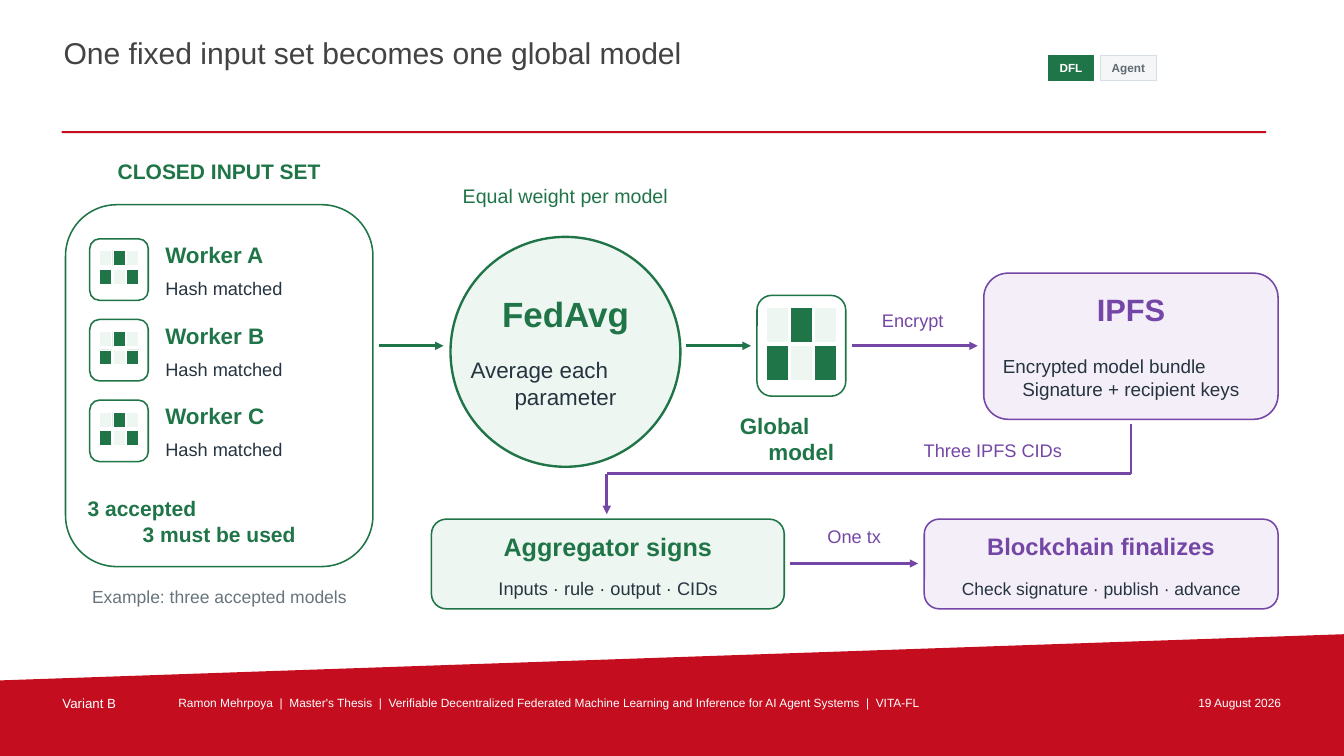
from pptx import Presentation
from pptx.dml.color import RGBColor
from pptx.enum import shapes, text
from pptx.oxml.ns import qn
from pptx.util import Pt
from lxml import etree

RED = RGBColor(0xC4, 0x0D, 0x1E)
GREEN = RGBColor(0x20, 0x75, 0x48)
PALE_GREEN = RGBColor(0xED, 0xF6, 0xF0)
PURPLE = RGBColor(0x74, 0x46, 0xA6)
PALE_PURPLE = RGBColor(0xF3, 0xEE, 0xF8)
INK = RGBColor(0x26, 0x34, 0x40)
TITLE_GRAY = RGBColor(0x43, 0x43, 0x43)
CAPTION_GRAY = RGBColor(0x67, 0x74, 0x7C)
TAG_TEXT = RGBColor(0x5D, 0x69, 0x73)
TAG_FILL = RGBColor(0xF5, 0xF6, 0xF7)
TAG_LINE = RGBColor(0xD7, 0xDE, 0xE3)
WHITE = RGBColor(0xFF, 0xFF, 0xFF)

FONT = "Arial"
LEFT, CENTER, RIGHT = text.PP_ALIGN.LEFT, text.PP_ALIGN.CENTER, text.PP_ALIGN.RIGHT
TOP, MIDDLE = text.MSO_ANCHOR.TOP, text.MSO_ANCHOR.MIDDLE
RECT, ROUND, OVAL = (shapes.MSO_SHAPE.RECTANGLE, shapes.MSO_SHAPE.ROUNDED_RECTANGLE,
                     shapes.MSO_SHAPE.OVAL)
FLOW_Y = 247


def write(tf, lines, size, color, bold=False, aligns=(CENTER,), anchor=MIDDLE, inset=0):
    """Fill a text frame, one paragraph for each line and alignment."""
    tf.word_wrap = True
    tf.vertical_anchor = anchor
    tf.margin_left = tf.margin_right = tf.margin_top = tf.margin_bottom = Pt(inset)
    for i, (line, align) in enumerate(zip(lines, aligns)):
        p = tf.paragraphs[0] if i == 0 else tf.add_paragraph()
        p.alignment = align
        r = p.add_run()
        r.text = line
        r.font.name, r.font.size, r.font.bold = FONT, Pt(size), bold
        r.font.color.rgb = color


def label(s, box, line, size, color, **options):
    tb = s.shapes.add_textbox(*map(Pt, box))
    write(tb.text_frame, [line], size, color, **options)


def stepped_label(s, box, lines, size, color, bold=False):
    """Two lines, the first at the left and the second centred."""
    tb = s.shapes.add_textbox(*map(Pt, box))
    write(tb.text_frame, lines, size, color, bold, aligns=(LEFT, CENTER))


def shape(s, kind, box, fill, line=None, width=1.1):
    sp = s.shapes.add_shape(kind, *map(Pt, box))
    sp.shadow.inherit = False
    sp.fill.solid()
    sp.fill.fore_color.rgb = fill
    if line is None:
        sp.line.fill.background()
    else:
        sp.line.color.rgb = line
        sp.line.width = Pt(width)
    return sp


def connector(s, start, end, color, width=2, arrow=True):
    c = s.shapes.add_connector(shapes.MSO_CONNECTOR.STRAIGHT, *map(Pt, start + end))
    c.line.color.rgb = color
    c.line.width = Pt(width)
    if arrow:
        etree.SubElement(c.line._get_or_add_ln(), qn("a:tailEnd"), type="triangle")
    etree.SubElement(c._element.spPr, qn("a:effectLst"))


def model_icon(s, box):
    """Framed grid of two rows and three columns in a checker pattern."""
    x, y, w, h = box
    shape(s, ROUND, box, WHITE, GREEN)
    side, top, bottom, gap_x, gap_y = 6.7, 8.6, 11.5, 1.1, 2.5
    cell_w = (w - 2 * side - 2 * gap_x) / 3
    cell_h = (h - top - bottom - gap_y) / 2
    for row in range(2):
        for col in range(3):
            cell = (x + side + col * (cell_w + gap_x),
                    y + top + row * (cell_h + gap_y), cell_w, cell_h)
            shape(s, RECT, cell, GREEN if (row + col) % 2 else PALE_GREEN, WHITE, 0.5)


def header(s, box):
    x, y, w, h = box
    label(s, (x, y, 695, 44.6), "One fixed input set becomes one global model", 21.5,
          TITLE_GRAY, aligns=(LEFT,), anchor=TOP, inset=1.44)
    shape(s, RECT, (x, y + h, w, 1.44), RED)
    tags = (("DFL", 704.8, 32.4, GREEN, GREEN, WHITE),
            ("Agent", 742.2, 39.6, TAG_FILL, TAG_LINE, TAG_TEXT))
    for name, dx, tag_w, fill, line, color in tags:
        sp = shape(s, RECT, (x + dx, y + 16.6, tag_w, 18), fill, line, 0.55)
        write(sp.text_frame, [name], 8.4, color, True)


def footer(s, box):
    x, y, w, h = box
    band = s.shapes.build_freeform(Pt(x), Pt(y + 33))
    band.add_line_segments([(Pt(x + w), Pt(y)), (Pt(x + w), Pt(y + h)), (Pt(x), Pt(y + h))])
    sp = band.convert_to_shape()
    sp.shadow.inherit = False
    sp.fill.solid()
    sp.fill.fore_color.rgb = RED
    sp.line.fill.background()
    entries = (
        (43.2, 72, "Variant B", 9.5, LEFT),
        (126, 673, "Ramon Mehrpoya  |  Master's Thesis  |  Verifiable Decentralized Federated "
                   "Machine Learning and Inference for AI Agent Systems  |  VITA-FL", 8.5, LEFT),
        (806.4, 110.2, "19 August 2026", 8.5, RIGHT),
    )
    for dx, entry_w, line, size, align in entries:
        label(s, (x + dx, y + 42.4, entry_w, 15.8), line, size, WHITE,
              aligns=(align,), anchor=TOP, inset=1.44)


def input_set(s, box):
    x, y, w, h = box
    label(s, (x, y - 34.6, w, 21.6), "CLOSED INPUT SET", 15, GREEN, bold=True)
    shape(s, ROUND, box, WHITE, GREEN)
    for i, worker in enumerate("ABC"):
        icon_x, icon_y = x + 17.3, y + 24.4 + i * 57.6
        model_icon(s, (icon_x, icon_y, 41.8, 43.9))
        label(s, (icon_x + 54, icon_y + 0.7, 118, 20.9), f"Worker {worker}", 16, GREEN,
              bold=True, aligns=(LEFT,))
        label(s, (icon_x + 54, icon_y + 26.6, 118, 17.3), "Hash matched", 13, INK,
              aligns=(LEFT,))
    stepped_label(s, (x + 15.8, y + 204.5, 187.9, 43.2),
                  ["3 accepted", "3 must be used"], 15, GREEN, True)
    label(s, (x, y + 270.7, w, 18.7), "Example: three accepted models", 12.5, CAPTION_GRAY)


def averaging(s, box):
    x, y, w, h = box
    shape(s, OVAL, box, PALE_GREEN, GREEN, 1.7)
    label(s, (x + 12.2, y + 38.2, w - 24.4, 32.4), "FedAvg", 25, GREEN, bold=True)
    stepped_label(s, (x + 14.4, y + 81.4, w - 28.8, 46.1),
                  ["Average each", "parameter"], 16, INK)
    label(s, (x - 22.3, y - 39.6, w + 44.6, 20.2), "Equal weight per model", 14, GREEN)


def global_model(s, box):
    x, y, w, h = box
    model_icon(s, box)
    stepped_label(s, (x - 12.2, y + h + 7.2, w + 24.4, 46.1),
                  ["Global", "model"], 16, GREEN, True)


def storage(s, box):
    x, y, w, h = box
    shape(s, ROUND, box, PALE_PURPLE, PURPLE)
    label(s, (x + 13.7, y + 12.2, w - 27.4, 26.6), "IPFS", 22, PURPLE, bold=True)
    stepped_label(s, (x + 13.7, y + 54.7, w - 27.4, 39.6),
                  ["Encrypted model bundle", "Signature + recipient keys"], 13.5, INK)


def step_card(s, box, title, title_size, detail, detail_size, fill, color):
    x, y, w, h = box
    shape(s, ROUND, box, fill, color)
    label(s, (x + 13.7, y + 7.9, w - 27.4, 23), title, title_size, color, bold=True)
    label(s, (x + 13.7, y + 41, w - 27.4, 16.6), detail, detail_size, INK)


def flow(s):
    """Arrows between the regions, with their labels."""
    for start, end, color in ((270.7, 316.8, GREEN), (490.3, 536.4, GREEN),
                              (608.4, 698.4, PURPLE)):
        connector(s, (start, FLOW_Y), (end, FLOW_Y), color)
    label(s, (607.7, 218.9, 88.6, 19.4), "Encrypt", 13, PURPLE)

    bends = [(807.8, 303.1), (807.8, 338.4), (433.4, 338.4), (433.4, 367.2)]
    for start, end in zip(bends, bends[1:]):
        connector(s, start, end, PURPLE, 1.8, arrow=end == bends[-1])
    label(s, (624.2, 312.5, 169.9, 18.7), "Three IPFS CIDs", 13, PURPLE)

    connector(s, (564.5, 402.5), (655.9, 402.5), PURPLE)
    label(s, (566.6, 373.7, 87.1, 18.7), "One tx", 13, PURPLE)


def main():
    prs = Presentation()
    prs.slide_width, prs.slide_height = Pt(960), Pt(540)
    s = prs.slides.add_slide(prs.slide_layouts[6])
    footer(s, (0, 453, 960, 87))
    header(s, (44, 23, 860.4, 70.6))
    input_set(s, (46.8, 146.2, 219.6, 258.5))
    averaging(s, (321.8, 169.2, 164.2, 164.2))
    global_model(s, (540.7, 211, 63.4, 72))
    storage(s, (702.7, 195.1, 210.2, 104.4))
    step_card(s, (308.2, 370.8, 252, 64.1), "Aggregator signs", 18,
              "Inputs · rule · output · CIDs", 13, PALE_GREEN, GREEN)
    step_card(s, (660.2, 370.8, 252.7, 64.1), "Blockchain finalizes", 17,
              "Check signature · publish · advance", 12.5, PALE_PURPLE, PURPLE)
    flow(s)
    prs.save("out.pptx")


if __name__ == "__main__":
    main()
